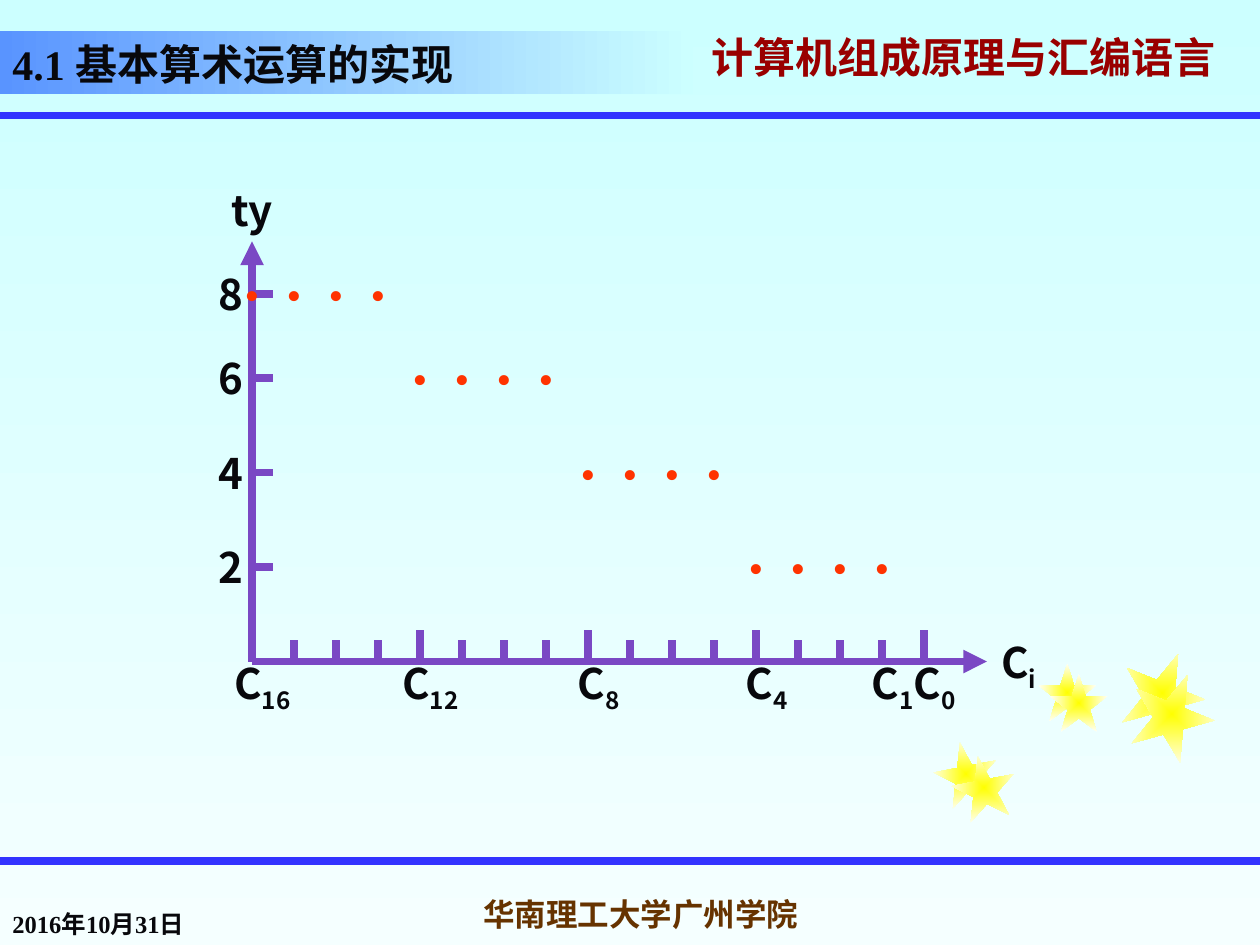
import pptx
import pptx.dml.color
import pptx.enum.dml
import pptx.enum.shapes
import pptx.enum.text
import pptx.oxml
import pptx.oxml.ns
import pptx.util
from lxml import etree

RGBColor = pptx.dml.color.RGBColor
SHAPE = pptx.enum.shapes.MSO_SHAPE
ALIGN = pptx.enum.text.PP_ALIGN
ANCHOR = pptx.enum.text.MSO_ANCHOR
AUTO = pptx.enum.text.MSO_AUTO_SIZE
qn = pptx.oxml.ns.qn

COLS, ROWS = 120, 90
UNIT = pptx.util.Inches(10) // COLS
SANS, SERIF = "Noto Sans CJK SC", "Times New Roman"
INK = RGBColor(0x08, 0x08, 0x0C)
RED = RGBColor(0x99, 0x00, 0x00)
BROWN = RGBColor(0x66, 0x33, 0x00)
DOT = RGBColor(0xFF, 0x33, 0x00)
RULE = RGBColor(0x33, 0x33, 0xFF)
AXIS = RGBColor(0x7A, 0x48, 0xC4)
SKY = RGBColor(0xCC, 0xFF, 0xFF)
PALE = RGBColor(0xF5, 0xFF, 0xFF)
BLUE = RGBColor(0x59, 0x94, 0xFF)
YELLOW = RGBColor(0xFF, 0xFF, 0x00)
CREAM = RGBColor(0xFF, 0xFF, 0xF5)

ORIGIN_X, ORIGIN_Y, STEP = 24, 63, 4
LEVELS = {8: 28, 6: 36, 4: 45, 2: 54}
STARS = [(89, 70.7, 6, 349), (98.9, 63.2, 5.5, 0), (106.7, 62, 8, 22),
         (90.7, 72, 6, 349), (100, 64.2, 5.5, 0), (107.6, 64, 8, 22)]


def grid(*values):
    """Convert grid units to EMU."""
    return [round(v * UNIT) for v in values]


def set_gradient(fill, start, end, angle=0):
    """Apply a two-stop linear gradient."""
    fill.gradient()
    fill.gradient_angle = angle
    for stop, color, position in zip(fill.gradient_stops, (start, end), (0, 1)):
        stop.color.rgb = color
        stop.position = position


def format_run(r, font, size, color, bold):
    """Set the Latin and East Asian fonts, size and colour of a run."""
    r.font.name, r.font.size, r.font.bold = font, pptx.util.Pt(size), bold
    r.font.color.rgb = color
    latin = r.font._element.find(qn("a:latin"))
    ea = etree.Element(qn("a:ea"), typeface=SANS)
    latin.addnext(ea)


def fill_text(tf, parts, size=24, color=INK, bold=True, align=ALIGN.CENTER,
              anchor=ANCHOR.TOP, spacing=None):
    """Write (text, font) parts as one paragraph and return its runs."""
    tf.word_wrap = True
    tf.vertical_anchor = anchor
    p = tf.paragraphs[0]
    p.alignment = align
    if spacing:
        p.line_spacing = spacing
    for text, font in parts:
        r = p.add_run()
        r.text = text
        format_run(r, font, size, color, bold)
    return p.runs


def add_text(s, box, parts, **style):
    """Add a text box on the grid."""
    tf = s.shapes.add_textbox(*grid(*box)).text_frame
    fill_text(tf, parts, **style)
    return tf


def add_label(s, left, top, width, text, sub=""):
    """Add a chart label with an optional subscript."""
    parts = [(t, SANS) for t in (text, sub) if t]
    tf = add_text(s, (left, top, width, 6), parts)
    tf.auto_size = AUTO.SHAPE_TO_FIT_TEXT
    if sub:
        tf.paragraphs[0].runs[1].font._element.set("baseline", "-25000")


def add_line(s, x1, y1, x2, y2, color=AXIS, arrow=False):
    """Add a straight line, with an arrowhead at its end if asked."""
    sp = s.shapes.add_connector(pptx.enum.shapes.MSO_CONNECTOR.STRAIGHT,
                                *grid(x1, y1, x2, y2))
    sp.line.color.rgb = color
    sp.line.width = pptx.util.Pt(4.5)
    if arrow:
        etree.SubElement(sp.line._get_or_add_ln(), qn("a:tailEnd"), type="triangle")
    etree.SubElement(sp._element.spPr, qn("a:effectLst"))


def add_panel(s, kind, box, start, end):
    """Add a borderless shape with a gradient fill."""
    sp = s.shapes.add_shape(kind, *grid(*box))
    sp.shadow.inherit = False
    sp.line.fill.background()
    set_gradient(sp.fill, start, end)
    return sp


def add_star(s, left, top, size, rotation):
    """Add a star that glows from its centre."""
    sp = add_panel(s, SHAPE.STAR_5_POINT, (left, top, size, size), YELLOW, CREAM)
    sp.rotation = rotation
    grad = sp._element.spPr.find(qn("a:gradFill"))
    glow = etree.Element(qn("a:path"), path="shape")
    etree.SubElement(glow, qn("a:fillToRect"),
                     {side: "50000" for side in "ltrb"})
    grad.replace(grad.find(qn("a:lin")), glow)


def add_text_shadow(r):
    """Give a run a grey drop shadow."""
    effects = etree.Element(qn("a:effectLst"))
    shadow = etree.SubElement(effects, qn("a:outerShdw"), dist="35921", dir="2700000")
    etree.SubElement(shadow, qn("a:srgbClr"), val="808080")
    r.font._element.find(qn("a:solidFill")).addnext(effects)


def add_frame(s):
    """Add the header, rules, stars and footer."""
    tf = add_text(s, (66.6, 3, 53.4, 6), [("计算机组成原理与汇编语言", SANS)], color=RED,
                  align=ALIGN.LEFT, anchor=ANCHOR.MIDDLE, spacing=0.7)
    add_text_shadow(tf.paragraphs[0].runs[0])
    for y in (11, 82):
        add_line(s, 0, y, COLS, y, RULE)
    for star in STARS:
        add_star(s, *star)
    add_text(s, (0, 84, 25, 6), [("2016年10月31日", SERIF)], size=14,
             align=ALIGN.LEFT, anchor=ANCHOR.BOTTOM)
    tf = add_text(s, (42, 84, 38, 6), [("华南理工大学广州学院", SERIF)], size=18,
                  color=BROWN, anchor=ANCHOR.MIDDLE)
    tf.word_wrap = False
    sp = add_panel(s, SHAPE.RECTANGLE, (0, 3, 66, 6), BLUE, SKY)
    fill_text(sp.text_frame, [("4.1 ", SERIF), ("基本算术运算的实现", SANS)],
              align=ALIGN.JUSTIFY, anchor=ANCHOR.BOTTOM, spacing=0.8)


def add_axes(s):
    """Add both axes with their ticks and labels."""
    add_line(s, ORIGIN_X, ORIGIN_Y, 94, ORIGIN_Y, arrow=True)
    add_line(s, ORIGIN_X, ORIGIN_Y, ORIGIN_X, 23, arrow=True)
    for i in range(1, 17):
        x = ORIGIN_X + STEP * i
        add_line(s, x, ORIGIN_Y - (2 if i % 4 else 3), x, ORIGIN_Y)
    for carry in (16, 12, 8, 4, 1, 0):
        x = ORIGIN_X + STEP * (16 - carry)
        add_label(s, x - 6, ORIGIN_Y - 1, 14, "C", str(carry))
    for value, y in LEVELS.items():
        add_line(s, ORIGIN_X, y, ORIGIN_X + 2, y)
        add_label(s, 19, y - 3, 6, str(value))
    add_label(s, 90, 60, 14, "C", "i")
    add_label(s, 17, 17, 14, "ty")


def add_dots(s):
    """Add four dots on each level."""
    for i in range(16):
        y = list(LEVELS.values())[i // 4]
        box = (ORIGIN_X + STEP * i - 5, y - 3, 10, 6)
        tf = add_text(s, box, [("•", SERIF)], color=DOT, bold=False)
        tf.auto_size = AUTO.SHAPE_TO_FIT_TEXT


def main():
    """Build the slide and save it."""
    prs = pptx.Presentation()
    prs.slide_width, prs.slide_height = grid(COLS, ROWS)
    s = prs.slides.add_slide(prs.slide_layouts[6])
    set_gradient(s.background.fill, SKY, PALE, 270)
    add_frame(s)
    add_axes(s)
    add_dots(s)
    prs.save("out.pptx")


if __name__ == "__main__":
    main()
